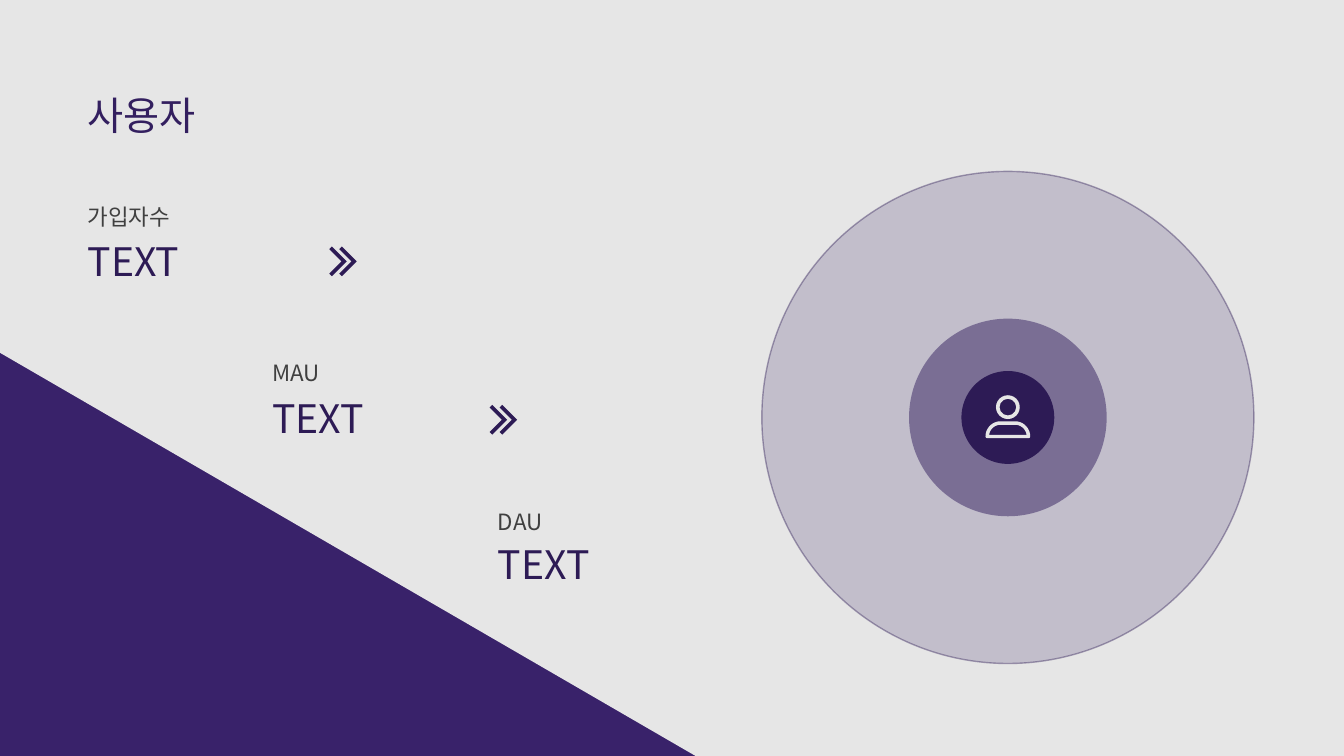
"""Build the user metrics slide with its nested audience circles."""
from math import cos, radians, sin

from lxml import etree
from pptx import Presentation
from pptx.dml.color import RGBColor
from pptx.enum import shapes, text
from pptx.oxml import ns
from pptx.util import Cm, Pt

FONT = "Noto Sans CJK KR"
PURPLE = RGBColor(0x39, 0x22, 0x6A)
VIOLET = RGBColor(0x33, 0x1F, 0x5F)
DARK = RGBColor(0x2D, 0x1B, 0x55)
PALE = RGBColor(0xE6, 0xE6, 0xE6)
GREY = RGBColor(0x40, 0x40, 0x40)


def write(holder, words, size, colour):
    frame = holder.text_frame
    frame.margin_left = frame.margin_right = frame.margin_top = frame.margin_bottom = 0
    frame.word_wrap = True
    frame.auto_size = text.MSO_AUTO_SIZE.SHAPE_TO_FIT_TEXT
    frame.vertical_anchor = text.MSO_ANCHOR.TOP
    line = frame.paragraphs[0]
    line.alignment = text.PP_ALIGN.LEFT
    run = line.add_run()
    run.text = words
    run.font.size = Pt(size)
    run.font.name = FONT
    run.font.color.rgb = colour
    etree.SubElement(run.font._element, ns.qn("a:ea"), typeface=FONT)


def paint(shape, colour, *opacities):
    shape.shadow.inherit = False
    shape.fill.solid()
    shape.fill.fore_color.rgb = colour
    if len(opacities) > 1:
        shape.line.color.rgb = DARK
        shape.line.width = Pt(1)
    else:
        shape.line.fill.background()
    for tint, percent in zip(shape.element.spPr.iter(ns.qn("a:srgbClr")), opacities):
        etree.SubElement(tint, ns.qn("a:alpha"), val=str(percent * 1000))


deck = Presentation()
deck.slide_width, deck.slide_height = Cm(33.87), Cm(19.05)
slide = deck.slides.add_slide(deck.slide_layouts[5])
slide.background.fill.solid()
slide.background.fill.fore_color.rgb = PURPLE

outline = slide.shapes.build_freeform(0, 0)
outline.add_line_segments([
    (deck.slide_width, 0), (deck.slide_width, deck.slide_height),
    (Cm(17.53), deck.slide_height), (0, Cm(8.89))])
panel = outline.convert_to_shape()
paint(panel, PALE)
slide.shapes._spTree.insert(2, panel.element)

heading = slide.shapes.title
heading.left, heading.top, heading.width, heading.height = Cm(2.21), Cm(2.31), Cm(13.34), Cm(1.19)
write(heading, "사용자", 28, VIOLET)

for metric, left, label_top, value_top in [
        ("가입자수", 2.21, 5.13, 5.99),
        ("MAU", 6.86, 9.04, 9.93),
        ("DAU", 12.55, 12.8, 13.61)]:
    label = slide.shapes.add_textbox(Cm(left), Cm(label_top), Cm(3), Cm(0.69))
    write(label, metric, 16, GREY)
    value = slide.shapes.add_textbox(Cm(left), Cm(value_top), Cm(7.67), Cm(1.19))
    write(value, "TEXT", 28, DARK)

for left, top in [(8.1, 6.32), (12.14, 10.31)]:
    arrow = slide.shapes.add_group_shape()
    for shift in (0.25, 0):
        chevron = arrow.shapes.add_shape(
            shapes.MSO_SHAPE.CORNER, Cm(left + shift), Cm(top), Cm(0.53), Cm(0.53))
        chevron.adjustments[0] = chevron.adjustments[1] = 0.177
        chevron.rotation = 225
        paint(chevron, DARK)

centre_x, centre_y = 25.4, 10.52
audience = slide.shapes.add_group_shape()
for size, colour, opacities in [
        (12.4, VIOLET, (20, 40)), (4.98, VIOLET, (50,)), (2.34, DARK, ())]:
    circle = audience.shapes.add_shape(
        shapes.MSO_SHAPE.OVAL, Cm(centre_x - size / 2), Cm(centre_y - size / 2),
        Cm(size), Cm(size))
    paint(circle, colour, *opacities)

head = audience.shapes.add_shape(
    shapes.MSO_SHAPE.DONUT, Cm(centre_x - 0.3), Cm(9.96), Cm(0.6), Cm(0.6))
head.adjustments[0] = 0.15
paint(head, PALE)

half_width, radius, base = 0.52, 0.34, 11
shoulders = []
for angle in range(180, -1, -10):
    side = -1 if angle > 90 else 1
    shoulders.append((
        Cm(centre_x + side * (half_width - radius) + radius * cos(radians(angle))),
        Cm(base - radius * sin(radians(angle)))))
outline = audience.shapes.build_freeform(*shoulders[0])
outline.add_line_segments(shoulders[1:])
torso = outline.convert_to_shape()
torso.shadow.inherit = False
torso.fill.background()
torso.line.color.rgb = PALE
torso.line.width = Pt(2.5)

deck.save("out.pptx")
